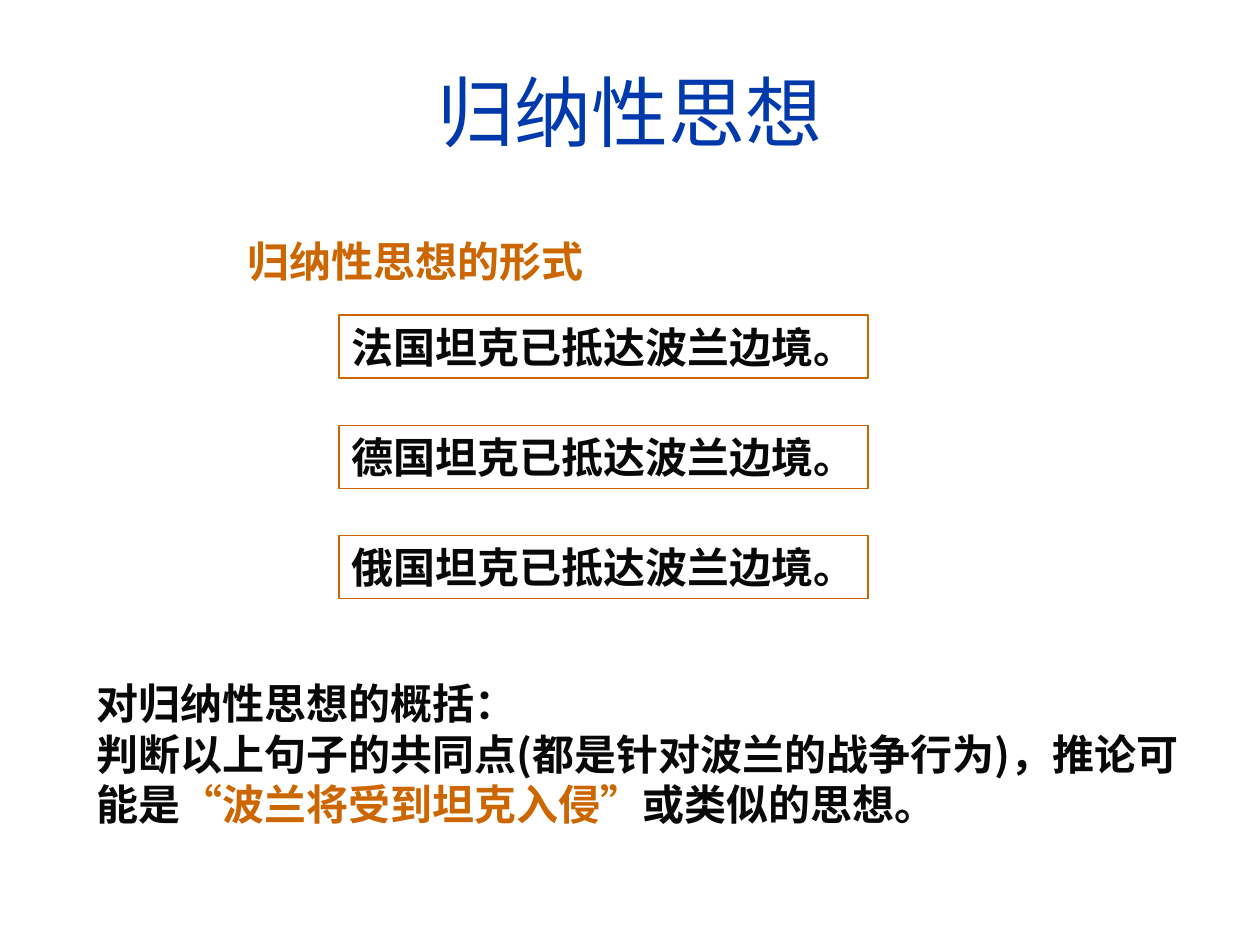
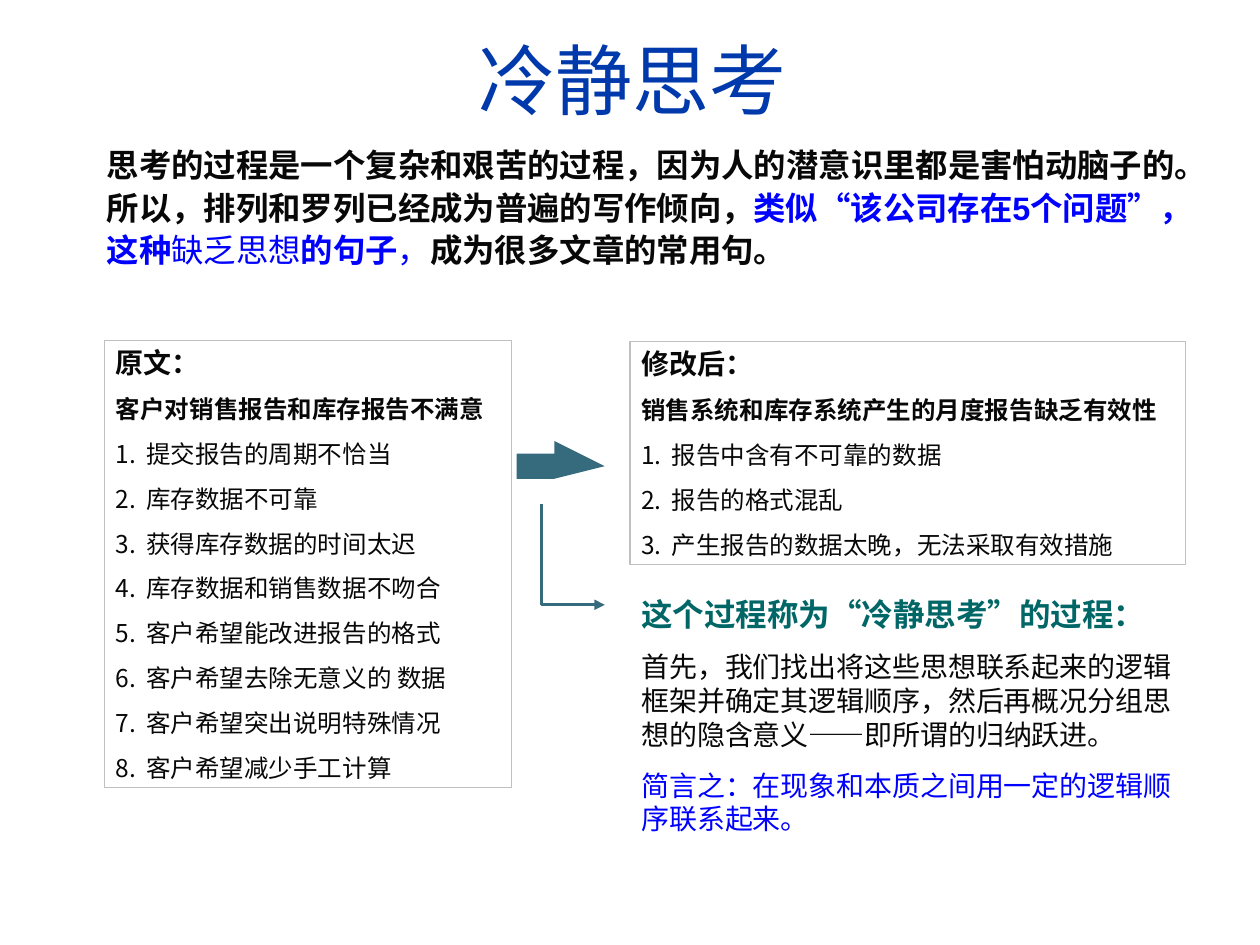
from lxml.etree import SubElement
from pptx import Presentation
from pptx.dml.color import RGBColor
from pptx.enum.shapes import MSO_SHAPE as Shape
from pptx.enum.text import MSO_ANCHOR as Anchor, MSO_AUTO_SIZE as AutoSize, PP_ALIGN as Align
from pptx.oxml.ns import qn
from pptx.util import Inches, Pt

COLUMNS, ROWS = 100, 75
CELL = Inches(0.1)
LIST_INDENT = Inches(0.24)
HAN_FONT = "Noto Sans CJK SC"
COLORS = {
    "title": "0039AC",
    "ink": "080808",
    "orange": "CC6600",
    "blue": "0000FF",
    "green": "006666",
    "steel": "366B7E",
    "silver": "C0C0C0",
}


def rgb(name):
    return RGBColor.from_string(COLORS[name])


def number(paragraph):
    """Turn a paragraph into an item of an automatic 1. 2. 3. list."""
    props = paragraph._p.get_or_add_pPr()
    props.set("marL", str(LIST_INDENT))
    props.set("indent", str(-LIST_INDENT))
    SubElement(props, qn("a:buFont"), typeface="Arial")
    SubElement(props, qn("a:buAutoNum"), type="arabicPeriod")


def write(frame, text, size=24, color="ink", bold=False, font="Arial", same_line=False,
          align=Align.LEFT, before=0, spacing=None, numbered=False):
    """Add text as a new paragraph, or to the last one when same_line is set."""
    paragraph = frame.paragraphs[-1]
    if not same_line:
        if paragraph.runs:
            paragraph = frame.add_paragraph()
            paragraph.space_before = Pt(before)
        paragraph.alignment = align
        if spacing:
            paragraph.line_spacing = spacing
        if numbered:
            number(paragraph)
    run = paragraph.add_run()
    run.text = text
    run.font.size, run.font.bold, run.font.name = Pt(size), bold, font
    run.font.color.rgb = rgb(color)
    SubElement(run._r.get_or_add_rPr(), qn("a:ea"), typeface=HAN_FONT)


class Deck:
    """Holds the shared style and the slide being built; lengths are grid cells."""

    def __init__(self):
        self.file = Presentation()
        self.file.slide_width, self.file.slide_height = COLUMNS * CELL, ROWS * CELL
        self.slide = None

    def place(self, *cells):
        return [round(cell * CELL) for cell in cells]

    def frame(self, shape, wrap=True, inset=(1, 0.5)):
        frame = shape.text_frame
        frame.word_wrap, frame.auto_size = wrap, AutoSize.NONE
        frame.vertical_anchor = Anchor.TOP
        across, down = self.place(*inset)
        frame.margin_left = frame.margin_right = across
        frame.margin_top = frame.margin_bottom = down
        return frame

    def titled_slide(self, text, left, top):
        self.slide = self.file.slides.add_slide(self.file.slide_layouts[5])
        title = self.slide.shapes.title
        title.left, title.top, title.width, title.height = self.place(left, top, 93.4, 12.5)
        frame = self.frame(title)
        frame.vertical_anchor = Anchor.MIDDLE
        write(frame, text, size=44, color="title", align=Align.CENTER)

    def text_area(self, *cells, **format):
        return self.frame(self.slide.shapes.add_textbox(*self.place(*cells)), **format)

    def outlined_box(self, *cells, border, **format):
        box = self.slide.shapes.add_shape(Shape.RECTANGLE, *self.place(*cells))
        box.shadow.inherit = False
        box.fill.background()
        box.line.color.rgb, box.line.width = rgb(border), Pt(0.75)
        return self.frame(box, **format)

    def outline(self, points, closed):
        builder = self.slide.shapes.build_freeform(*points[0], scale=float(CELL))
        builder.add_line_segments(points[1:], close=closed)
        shape = builder.convert_to_shape()
        shape.shadow.inherit = False
        return shape

    def block_arrow(self, points):
        arrow = self.outline(points, closed=True)
        arrow.fill.solid()
        arrow.fill.fore_color.rgb = rgb("steel")
        arrow.line.fill.background()

    def bent_arrow(self, points):
        arrow = self.outline(points, closed=False)
        arrow.fill.background()
        arrow.line.color.rgb, arrow.line.width = rgb("steel"), Pt(1.75)
        SubElement(arrow.line._get_or_add_ln(), qn("a:tailEnd"), type="triangle")

    def report(self, *cells, label, claim, reasons):
        frame = self.outlined_box(*cells, border="silver", inset=(0.9, 0.4))
        write(frame, label, size=16, bold=True)
        write(frame, claim, size=14, bold=True, before=8.8)
        for reason in reasons:
            write(frame, reason, size=14, before=8.8, numbered=True)


def inductive_thinking(deck):
    deck.titled_slide("归纳性思想", 3.3, 2.5)
    for row, country in enumerate("法德俄"):
        premise = deck.outlined_box(26.9, 25 + 8.75 * row, 42, 5, border="orange", wrap=False)
        write(premise, f"{country}国坦克已抵达波兰边境。", bold=True, font="Times New Roman")

    heading = deck.text_area(18.7, 18.2, 28.6, 5, wrap=False)
    write(heading, "归纳性思想的形式", color="orange", bold=True, font=HAN_FONT)

    summary = deck.text_area(6.7, 53.3, 88.4, 13)
    style = dict(bold=True, font=HAN_FONT)
    write(summary, "对归纳性思想的概括：", **style)
    write(summary, "判断以上句子的共同点(都是针对波兰的战争行为)，推论可能是", **style)
    write(summary, "“波兰将受到坦克入侵”", color="orange", same_line=True, bold=True,
          font="Times New Roman")
    write(summary, "或类似的思想。", same_line=True, **style)


def calm_thinking(deck):
    deck.titled_slide("冷静思考", 3.5, 0)
    intro = deck.text_area(7.5, 10.7, 86.7, 11.8)
    write(intro, "思考的过程是一个复杂和艰苦的过程，因为人的潜意识里都是害怕动脑子的。"
                 "所以，排列和罗列已经成为普遍的写作倾向，", size=18.5, bold=True, spacing=1.1)
    for text, color, bold in (
        ("类似“该公司存在5个问题”，这种", "blue", True),
        ("缺乏思想", "blue", False),
        ("的句子", "blue", True),
        ("，", "blue", False),
        ("成为很多文章的常用句。", "ink", True),
    ):
        write(intro, text, size=18.5, color=color, bold=bold, same_line=True)

    deck.report(8.3, 27, 32.3, 35.5, label="原文：", claim="客户对销售报告和库存报告不满意",
                reasons=("提交报告的周期不恰当", "库存数据不可靠", "获得库存数据的时间太迟",
                         "库存数据和销售数据不吻合", "客户希望能改进报告的格式",
                         "客户希望去除无意义的 数据", "客户希望突出说明特殊情况",
                         "客户希望减少手工计算"))
    deck.report(50, 27.1, 44.1, 17.7, label="修改后：",
                claim="销售系统和库存系统产生的月度报告缺乏有效性",
                reasons=("报告中含有不可靠的数据", "报告的格式混乱",
                         "产生报告的数据太晚，无法采取有效措施"))

    deck.block_arrow([(40.6, 35.9), (43.8, 35.9), (43.8, 35.1), (47.6, 36.7),
                      (43.7, 38.3), (43.7, 37.5), (40.6, 37.5)])
    deck.bent_arrow([(42.9, 39.9), (42.9, 48.5), (47.6, 48.5)])

    process = deck.text_area(50, 46.8, 44.1, 20, inset=(0.9, 0.4))
    write(process, "这个过程称为“冷静思考”的过程：", size=18, color="green", bold=True)
    write(process, "首先，我们找出将这些思想联系起来的逻辑框架并确定其逻辑顺序，"
                   "然后再概况分组思想的隐含意义——即所谓的归纳跃进。", size=16, before=10)
    write(process, "简言之：在现象和本质之间用一定的逻辑顺序联系起来。",
          size=16, color="blue", before=10)


def main():
    deck = Deck()
    inductive_thinking(deck)
    calm_thinking(deck)
    deck.file.save("out.pptx")


if __name__ == "__main__":
    main()
